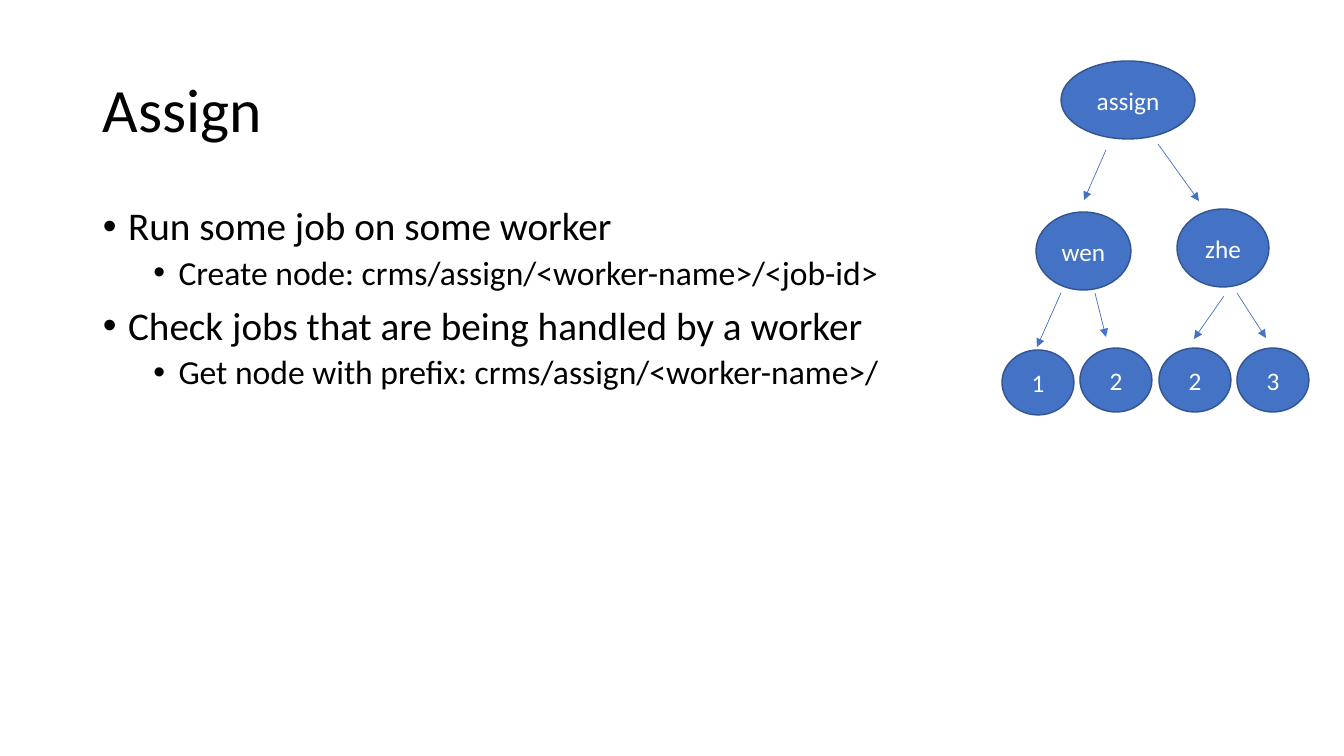
from dataclasses import dataclass

from lxml import etree
from pptx import Presentation
from pptx.dml.color import RGBColor
from pptx.enum.shapes import MSO_CONNECTOR, MSO_SHAPE
from pptx.enum.text import MSO_ANCHOR, PP_ALIGN
from pptx.oxml.ns import qn
from pptx.util import Pt

ELLIPSE = MSO_SHAPE.OVAL
STRAIGHT = MSO_CONNECTOR.STRAIGHT
MIDDLE, TOP = MSO_ANCHOR.MIDDLE, MSO_ANCHOR.TOP
CENTER, LEFT = PP_ALIGN.CENTER, PP_ALIGN.LEFT
EMU_PER_PIXEL = 914400 / 100.8


@dataclass(frozen=True)
class Theme:
    font: str = "Calibri"
    background: RGBColor = RGBColor(255, 255, 255)
    text: RGBColor = RGBColor(0, 0, 0)
    node: RGBColor = RGBColor(0x44, 0x72, 0xC4)
    outline: RGBColor = RGBColor(0x32, 0x54, 0x91)
    node_text: RGBColor = RGBColor(255, 255, 255)
    title_size: int = 44
    node_size: int = 18
    bullet_sizes: tuple = (28, 24)
    outline_width: float = 1
    arrow_width: float = 0.5


THEME = Theme()

BULLETS = [
    (0, "Run some job on some worker"),
    (1, "Create node: crms/assign/<worker-name>/<job-id>"),
    (0, "Check jobs that are being handled by a worker"),
    (1, "Get node with prefix: crms/assign/<worker-name>/"),
]
# Label, left, top, width, height within the tree box
UPPER_NODES = [
    ("assign", 59, 0, 134, 78),
    ("wen", 34, 151, 95, 78),
    ("zhe", 175, 148, 92, 78),
]
# Label, top, height
JOBS = [("1", 289, 65), ("2", 287, 64), ("2", 287, 64), ("3", 287, 64)]
JOB_WIDTH = 72
# Start x, start y, end x, end y within the tree box
ARROWS = [
    (104, 89, 82, 139), (156, 83, 197, 140),
    (59, 232, 35, 286), (93, 232, 104, 276),
    (222, 235, 192, 278), (235, 232, 264, 277),
]


def px(*lengths):
    return [round(length * EMU_PER_PIXEL) for length in lengths]


def apply(target, values):
    for name, value in values.items():
        setattr(target, name, value)


def write(paragraph, text, size, color, **values):
    apply(paragraph, values)
    run = paragraph.add_run()
    run.text = text
    apply(run.font, {"name": THEME.font, "size": Pt(size)})
    run.font.color.rgb = color


def add_text_frame(slide, box, anchor):
    frame = slide.shapes.add_textbox(*px(*box)).text_frame
    apply(frame, {"word_wrap": True, "vertical_anchor": anchor})
    return frame


def add_title(slide, box):
    frame = add_text_frame(slide, box, MIDDLE)
    write(frame.paragraphs[0], "Assign", THEME.title_size, THEME.text,
          line_spacing=0.9, alignment=LEFT)


def add_bullets(slide, box):
    frame = add_text_frame(slide, box, TOP)
    for index, (level, text) in enumerate(BULLETS):
        paragraph = frame.add_paragraph() if index else frame.paragraphs[0]
        write(paragraph, text, THEME.bullet_sizes[level], THEME.text,
              level=level, line_spacing=0.9, space_before=Pt(10 - 5 * level))
        # Hanging bullet, half an inch deeper per level
        properties = paragraph._p.get_or_add_pPr()
        properties.set("marL", str(228600 + 457200 * level))
        properties.set("indent", "-228600")
        etree.SubElement(properties, qn("a:buFont"), typeface="Arial")
        etree.SubElement(properties, qn("a:buChar"), char="•")


def add_node(slide, label, box):
    shape = slide.shapes.add_shape(ELLIPSE, *px(*box))
    shape.shadow.inherit = False
    shape.fill.solid()
    shape.fill.fore_color.rgb = THEME.node
    shape.line.color.rgb = THEME.outline
    shape.line.width = Pt(THEME.outline_width)
    apply(shape.text_frame, {"word_wrap": True, "vertical_anchor": MIDDLE})
    write(shape.text_frame.paragraphs[0], label, THEME.node_size,
          THEME.node_text, alignment=CENTER)


def add_arrow(slide, ends):
    arrow = slide.shapes.add_connector(STRAIGHT, *px(*ends))
    arrow.line.color.rgb = THEME.node
    arrow.line.width = Pt(THEME.arrow_width)
    etree.SubElement(arrow.line._get_or_add_ln(), qn("a:tailEnd"), type="triangle")
    etree.SubElement(arrow._element.spPr, qn("a:effectLst"))


def add_tree(slide, box):
    left, top, width, _ = box
    # Root and workers
    for label, x, y, node_width, node_height in UPPER_NODES:
        add_node(slide, label, (left + x, top + y, node_width, node_height))
    # Jobs, spread evenly over the box width
    pitch = (width - JOB_WIDTH) / (len(JOBS) - 1)
    for index, (label, y, height) in enumerate(JOBS):
        add_node(slide, label,
                 (left + round(index * pitch), top + y, JOB_WIDTH, height))
    # Arrows from parent to child
    for x1, y1, x2, y2 in ARROWS:
        add_arrow(slide, (left + x1, top + y1, left + x2, top + y2))


def build():
    presentation = Presentation()
    presentation.slide_width, presentation.slide_height = px(1344, 756)
    slide = presentation.slides.add_slide(presentation.slide_layouts[6])
    slide.background.fill.solid()
    slide.background.fill.fore_color.rgb = THEME.background
    add_title(slide, (93, 40, 1159, 146))
    add_bullets(slide, (93, 202, 1159, 480))
    add_tree(slide, (1002, 61, 307, 354))
    presentation.save("out.pptx")


build()
